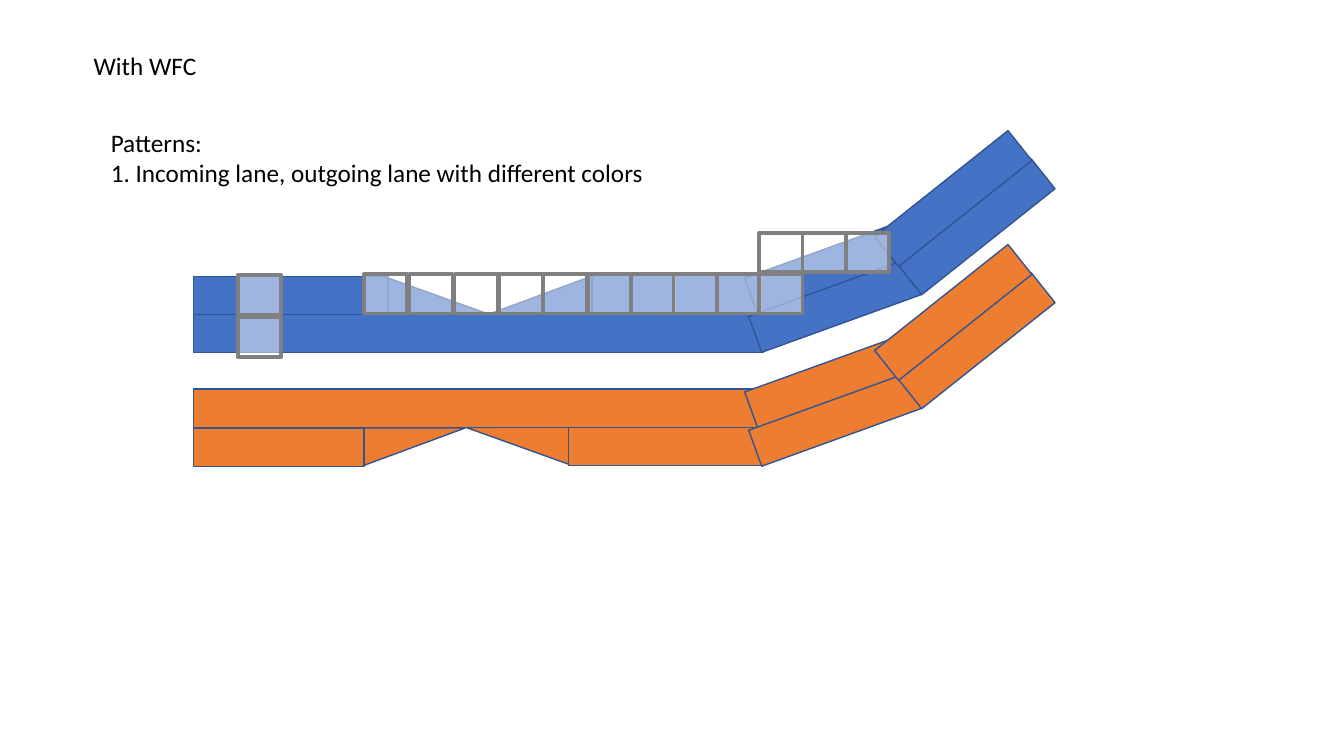
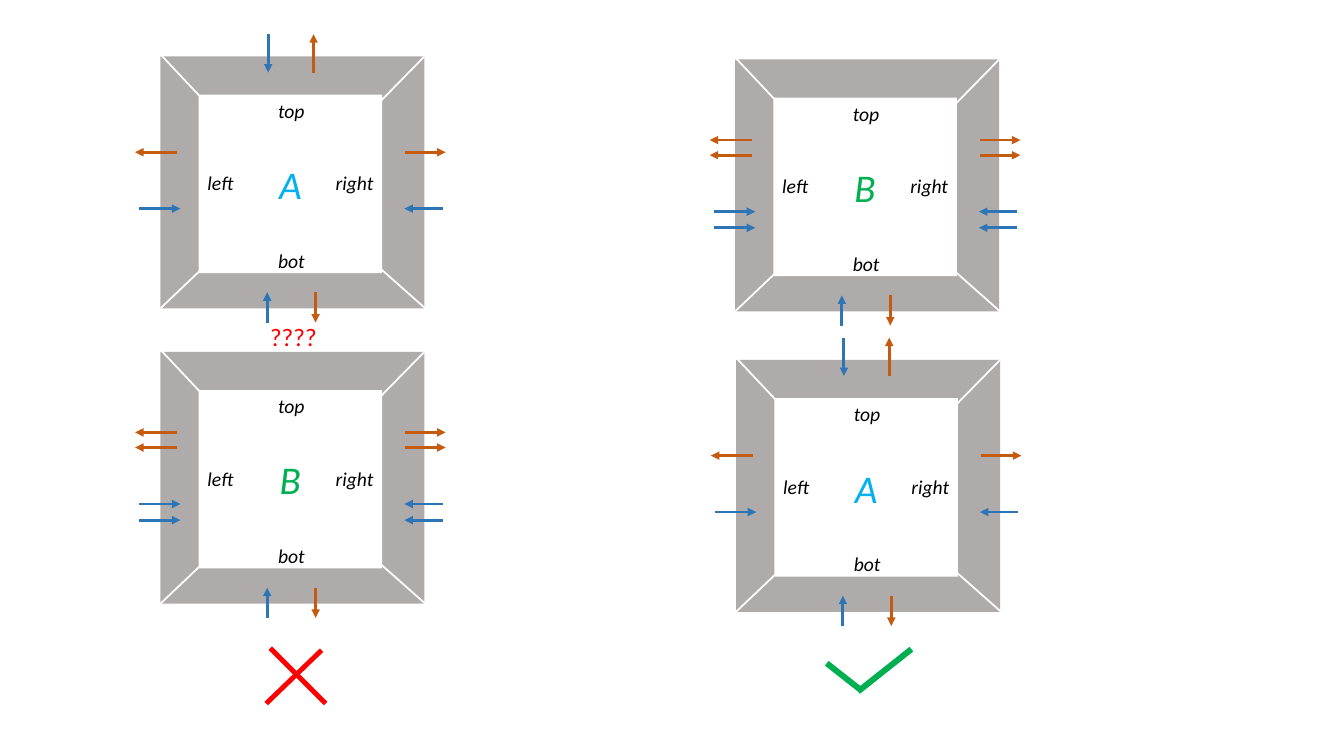
"""Build two slides: lane patterns for WFC, and tiles whose sides must match."""
from lxml import etree
from pptx import Presentation
from pptx import util as u
from pptx.dml.color import RGBColor
from pptx.enum import shapes, text
from pptx.oxml import ns

BLACK = RGBColor(0, 0, 0)
WHITE = RGBColor(255, 255, 255)
BLUE = RGBColor(0x44, 0x72, 0xC4)
ORANGE = RGBColor(0xED, 0x7D, 0x31)
EDGE = RGBColor(0x32, 0x54, 0x91)
GREY = RGBColor(0x80, 0x80, 0x80)
FRAME = RGBColor(0xAF, 0xAB, 0xAB)
OUT = RGBColor(0xC5, 0x5A, 0x11)
IN = RGBColor(0x2E, 0x75, 0xB6)
SKY = RGBColor(0, 0xB0, 0xF0)
GREEN = RGBColor(0, 0xB0, 0x50)
RED = RGBColor(255, 0, 0)

RECT = shapes.MSO_SHAPE.RECTANGLE
WEDGE = shapes.MSO_SHAPE.ISOSCELES_TRIANGLE
BODY = dict(name="Calibri", size=u.Pt(18), italic=False)
LABEL = dict(name="Calibri", size=u.Pt(14), italic=True)
LETTER = dict(name="Calibri", size=u.Pt(28), italic=True)

NOTES = [
    ((0.83, 0.45, 11.1, 0.4), ["With WFC"]),
    ((1, 1.21, 10.01, 0.71),
     ["Patterns:", "1. Incoming lane, outgoing lane with different colors"]),
]

LANE = 0.38
BEND = 1.69
WEDGES = [
    (BLUE, 4.14, 2.5, 99.6), (BLUE, 5.19, 2.49, 259.9),
    (ORANGE, 4.96, 3.8, 279.6), (ORANGE, 3.9, 3.81, 79.9),
]
LANES = [
    (BLUE, 1.92, 3.12, 5.65), (BLUE, 1.92, 2.74, 1.93), (BLUE, 5.87, 2.73, 1.69),
    (ORANGE, 1.92, 3.86, 5.65), (ORANGE, 5.64, 4.24, 1.93),
    (ORANGE, 1.92, 4.25, 1.69),
]
BENDS = [(7.4, 2.46, 340.1), (7.44, 2.84, 340.1),
         (8.84, 2.06, 321.5), (8.61, 1.78, 321.5)]
DROPS = [(BLUE, 0), (ORANGE, 1.13)]
CELLS = {
    2.73: [2.36],
    2.72: [3.61, 4.06, 4.51, 4.95, 5.39, 5.83, 6.26, 6.68, 7.11, 7.53],
    2.31: [7.53, 7.96, 8.39],
    3.15: [2.36],
}

KINDS = {
    "A": dict(tint=SKY, outs=[0.95], ins=[1.51], top=True),
    "B": dict(tint=GREEN, outs=[0.8, 0.95], ins=[1.51, 1.67], top=False),
}
TILES = [("B", 1.59, 3.49), ("A", 1.59, 0.56), ("B", 7.29, 0.59), ("A", 7.3, 3.57)]
SEAMS = [(2.09, 0.54, 2.62, 0), (0, 2.5, 0.41, 2.11),
         (-0.29, -0.33, 0.67, 0.69), (1.93, 1.88, 2.9, 2.74)]
SIDES = [("right", 1.64, 1.09, 0.58), ("left", 0.37, 1.09, 0.47),
         ("bot", 1.07, 1.86, 0.48), ("top", 1.07, 0.37, 0.47)]
OUTSPAN = [(2.43, 2.83), (0.17, -0.25)]
INSPAN = [(2.8, 2.42), (-0.21, 0.2)]
BOTTOM = [(OUT, 1.54, 2.34, 2.64), (IN, 1.06, 2.64, 2.34)]
TOP = [(OUT, 1.52, 0.16, -0.22), (IN, 1.07, -0.22, 0.16)]

MARKS = [
    (RED, 3.5, [(3.19, 6.45, 2.64, 6.98), (3.23, 6.98, 2.68, 6.43)]),
    (GREEN, 4.25, [(8.2, 6.58, 8.53, 6.84), (8.51, 6.86, 9.04, 6.44)]),
]
DOUBT = ((2.58, 3.14, 1, 0.4), ["????"])


def inch(vals):
    return [u.Inches(round(val, 2)) for val in vals]


def style(para, words, form, tint):
    run = para.add_run()
    run.text = words
    for key, val in form.items():
        setattr(run.font, key, val)
    run.font.color.rgb = tint


def write(home, box, lines, form=BODY, tint=BLACK, wrap=True):
    frame = home.add_textbox(*inch(box)).text_frame
    frame.word_wrap = wrap
    frame.auto_size = text.MSO_AUTO_SIZE.SHAPE_TO_FIT_TEXT
    for num, words in enumerate(lines):
        para = frame.add_paragraph() if num else frame.paragraphs[0]
        style(para, words, form, tint)


def block(home, box, fill, line=None, width=1, turn=0, kind=RECT):
    part = home.add_shape(kind, *inch(box))
    part.shadow.inherit = False
    part.rotation = turn
    part.fill.solid()
    part.fill.fore_color.rgb = fill
    if line is None:
        part.line.fill.background()
    else:
        part.line.color.rgb = line
        part.line.width = u.Pt(width)
    return part


def stroke(home, ends, tint, width, head=False):
    link = home.add_connector(shapes.MSO_CONNECTOR.STRAIGHT, *inch(ends))
    link.line.color.rgb = tint
    link.line.width = u.Pt(width)
    props = link.element.spPr
    if head:
        etree.SubElement(props.find(ns.qn("a:ln")), ns.qn("a:tailEnd"), type="triangle")
    etree.SubElement(props, ns.qn("a:effectLst"))


def veil(home, left, top):
    cell = block(home, (left, top, 0.43, 0.39), WHITE, GREY, 2.5)
    tone = cell.element.spPr.find(ns.qn("a:solidFill"))[0]
    etree.SubElement(tone, ns.qn("a:alpha"), val="48000")


def tile(home, name, left, top):
    kind = KINDS[name]
    group = home.add_group_shape().shapes

    def shift(ends):
        return [val + (top if num % 2 else left) for num, val in enumerate(ends)]

    block(group, (left, top, 2.62, 2.5), FRAME)
    core = block(group, (left + 0.38, top + 0.38, 1.82, 1.77), WHITE).text_frame
    core.vertical_anchor = text.MSO_ANCHOR.MIDDLE
    core.paragraphs[0].alignment = text.PP_ALIGN.CENTER
    style(core.paragraphs[0], name, LETTER, kind["tint"])
    for ends in SEAMS:
        stroke(group, shift(ends), WHITE, 1.25)
    for words, dx, dy, wide in SIDES:
        write(group, (left + dx, top + dy, wide, 0.34), [words], LABEL, wrap=False)
    for tint, spans, rows in [(OUT, OUTSPAN, kind["outs"]), (IN, INSPAN, kind["ins"])]:
        for start, end in spans:
            for row in rows:
                stroke(group, shift((start, row, end, row)), tint, 2, True)
    for tint, col, start, end in BOTTOM + (TOP if kind["top"] else []):
        stroke(group, shift((col, start, col, end)), tint, 2, True)


def lanes(home):
    for box, lines in NOTES:
        write(home, box, lines)
    for fill, left, top, turn in WEDGES:
        block(home, (left, top, LANE, 1.06), fill, EDGE, turn=turn, kind=WEDGE)
    for fill, left, top, wide in LANES:
        block(home, (left, top, wide, LANE), fill, EDGE)
    for fill, drop in DROPS:
        for left, top, turn in BENDS:
            block(home, (left, top + drop, BEND, LANE), fill, EDGE, turn=turn)
    for top, cols in CELLS.items():
        for left in cols:
            veil(home, left, top)


def match(home):
    for name, left, top in TILES:
        tile(home, name, left, top)
    for tint, width, lines in MARKS:
        group = home.add_group_shape().shapes
        for ends in lines:
            stroke(group, ends, tint, width)
    write(home, *DOUBT, tint=RED)


deck = Presentation()
deck.slide_width, deck.slide_height = inch((13.33, 7.5))
for draw in (lanes, match):
    draw(deck.slides.add_slide(deck.slide_layouts[6]).shapes)
deck.save("out.pptx")
